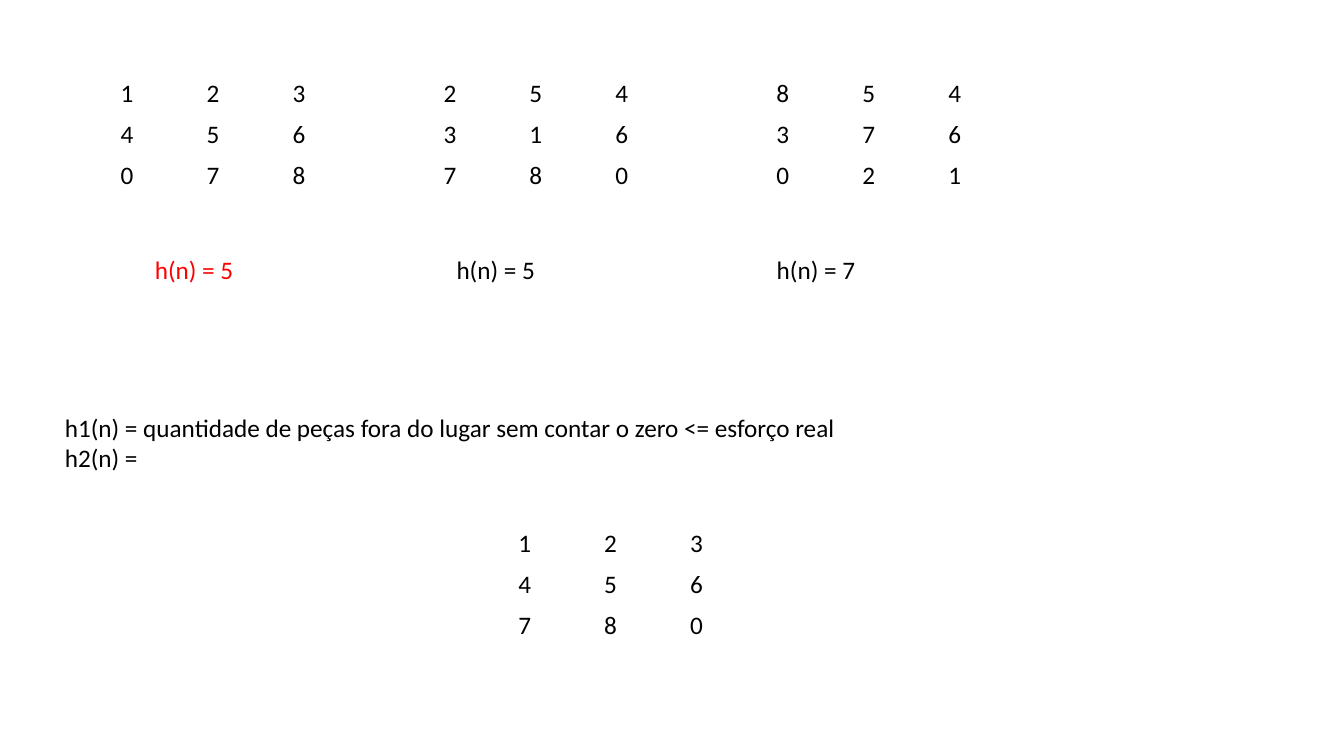
from pptx import Presentation
from pptx.dml.color import RGBColor
from pptx.enum.text import MSO_AUTO_SIZE
from pptx.util import Pt

BLACK = RGBColor(0x00, 0x00, 0x00)
RED = RGBColor(0xFF, 0x00, 0x00)
FIT_SHAPE = MSO_AUTO_SIZE.SHAPE_TO_FIT_TEXT

STATES = [
    {"rows": ["123", "456", "078"], "board_left": 79, "label": "h(n) = 5",
     "label_left": 103.5, "color": RED},
    {"rows": ["254", "316", "780"], "board_left": 309.6, "label": "h(n) = 5",
     "label_left": 319, "color": BLACK},
    {"rows": ["854", "376", "021"], "board_left": 547.4, "label": "h(n) = 7",
     "label_left": 547.7, "color": BLACK},
]
GOAL_ROWS = ["123", "456", "780"]
HEURISTICS = [
    "h1(n) = quantidade de peças fora do lugar sem contar o zero <= esforço real",
    "h2(n) =",
]

SLIDE_SIZE = {"slide_width": Pt(960), "slide_height": Pt(540)}
COL_W, ROW_H = 61.4, 29.2
STATES_TOP, LABELS_TOP = 52.5, 177.8
GOAL_LEFT, GOAL_TOP = 363, 374
HEURISTICS_LEFT, HEURISTICS_TOP = 39.3, 290.9
LABEL_W, HEURISTICS_W = 71.3, 571.7
LINE_H, TEXT_PADDING = 21.8, 7.3

FONT = {"name": "Calibri", "size": Pt(18), "bold": False}
PLAIN_TABLE = {"first_row": False, "horz_banding": False}
TEXT_FRAME = {"word_wrap": False, "auto_size": FIT_SHAPE}


def set_all(obj, values):
    for name, value in values.items():
        setattr(obj, name, value)


def write(p, text, color):
    r = p.add_run()
    r.text = text
    set_all(r.font, FONT)
    r.font.color.rgb = color


def add_board(s, left, top, rows):
    n = len(rows)
    table = s.shapes.add_table(n, n, Pt(left), Pt(top),
                               Pt(n * COL_W), Pt(n * ROW_H)).table
    set_all(table, PLAIN_TABLE)
    for i, row in enumerate(rows):
        for j, digit in enumerate(row):
            cell = table.cell(i, j)
            cell.fill.background()
            write(cell.text_frame.paragraphs[0], digit, BLACK)


def add_text(s, left, top, width, lines, color):
    height = len(lines) * LINE_H + TEXT_PADDING
    tf = s.shapes.add_textbox(Pt(left), Pt(top), Pt(width), Pt(height)).text_frame
    set_all(tf, TEXT_FRAME)
    for i, line in enumerate(lines):
        p = tf.add_paragraph() if i else tf.paragraphs[0]
        write(p, line, color)


def main():
    prs = Presentation()
    set_all(prs, SLIDE_SIZE)
    s = prs.slides.add_slide(prs.slide_layouts[6])
    for state in STATES:
        add_board(s, state["board_left"], STATES_TOP, state["rows"])
        add_text(s, state["label_left"], LABELS_TOP, LABEL_W,
                 [state["label"]], state["color"])
    add_board(s, GOAL_LEFT, GOAL_TOP, GOAL_ROWS)
    add_text(s, HEURISTICS_LEFT, HEURISTICS_TOP, HEURISTICS_W, HEURISTICS, BLACK)
    prs.save("out.pptx")


if __name__ == "__main__":
    main()
